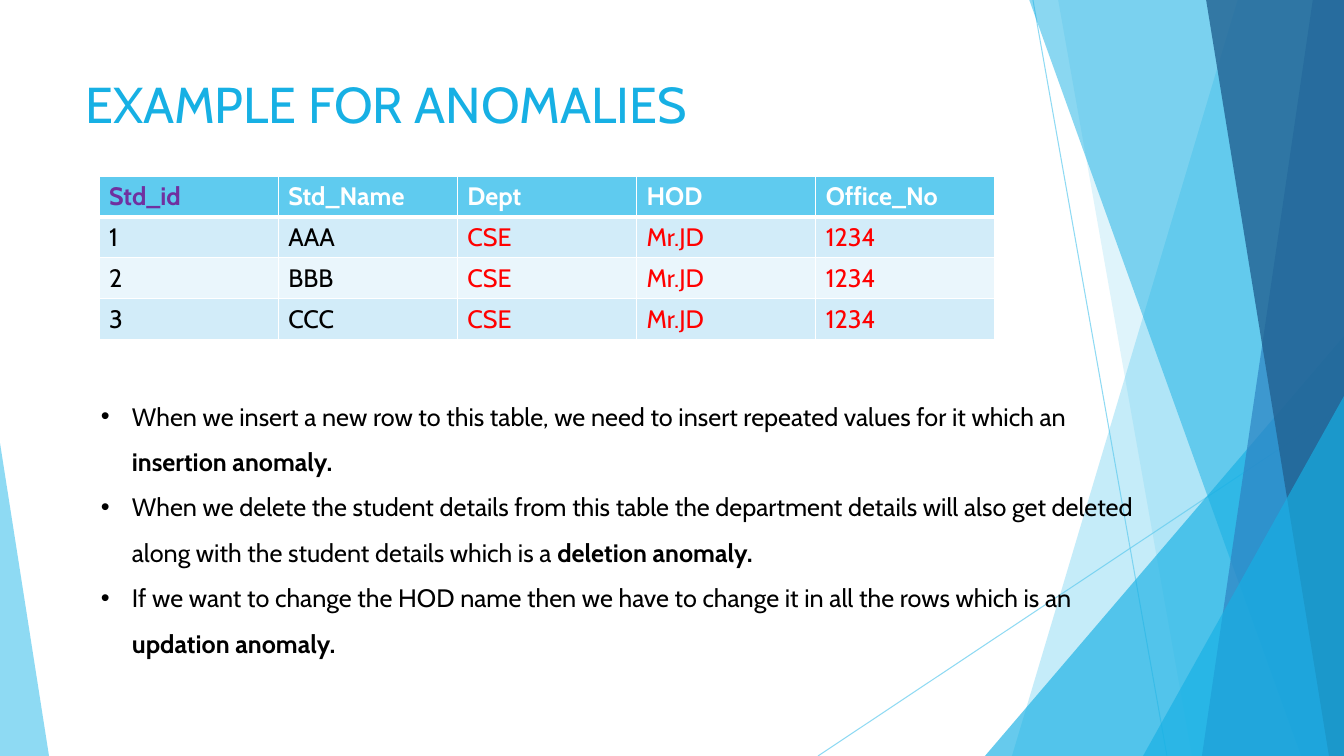
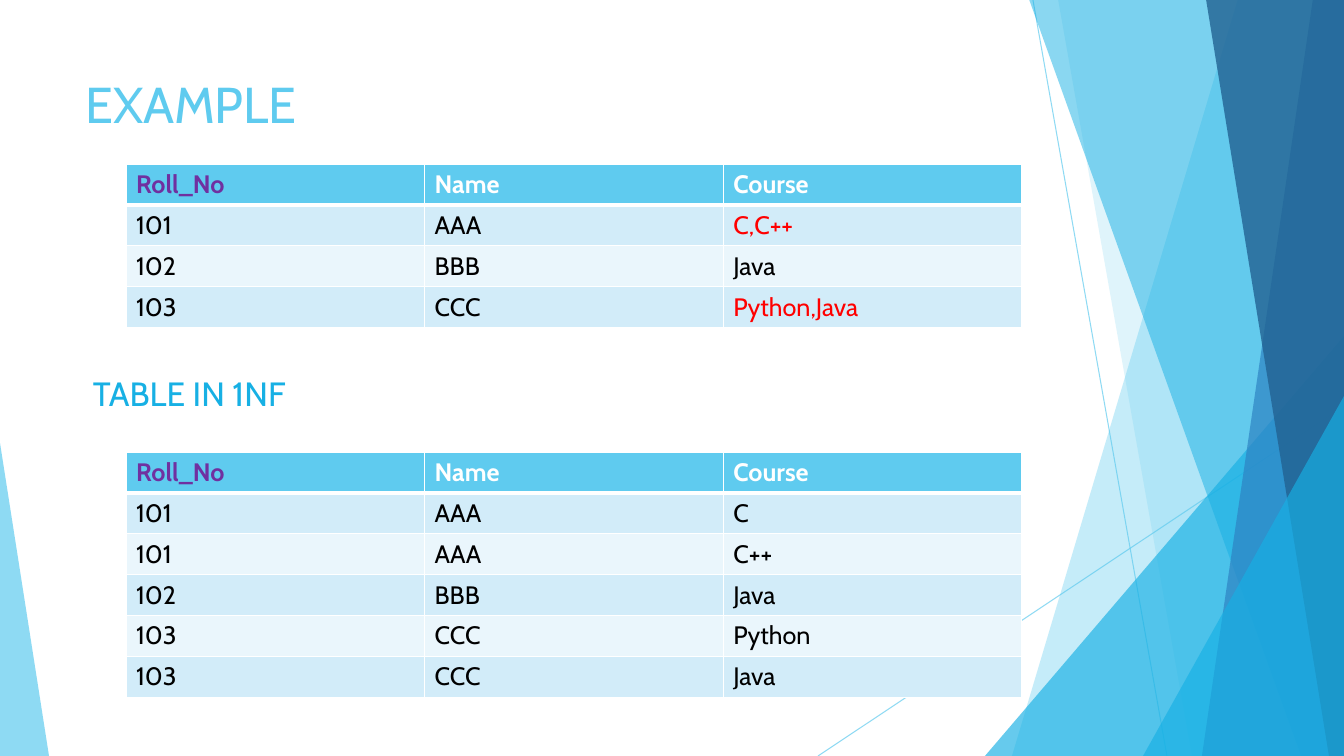
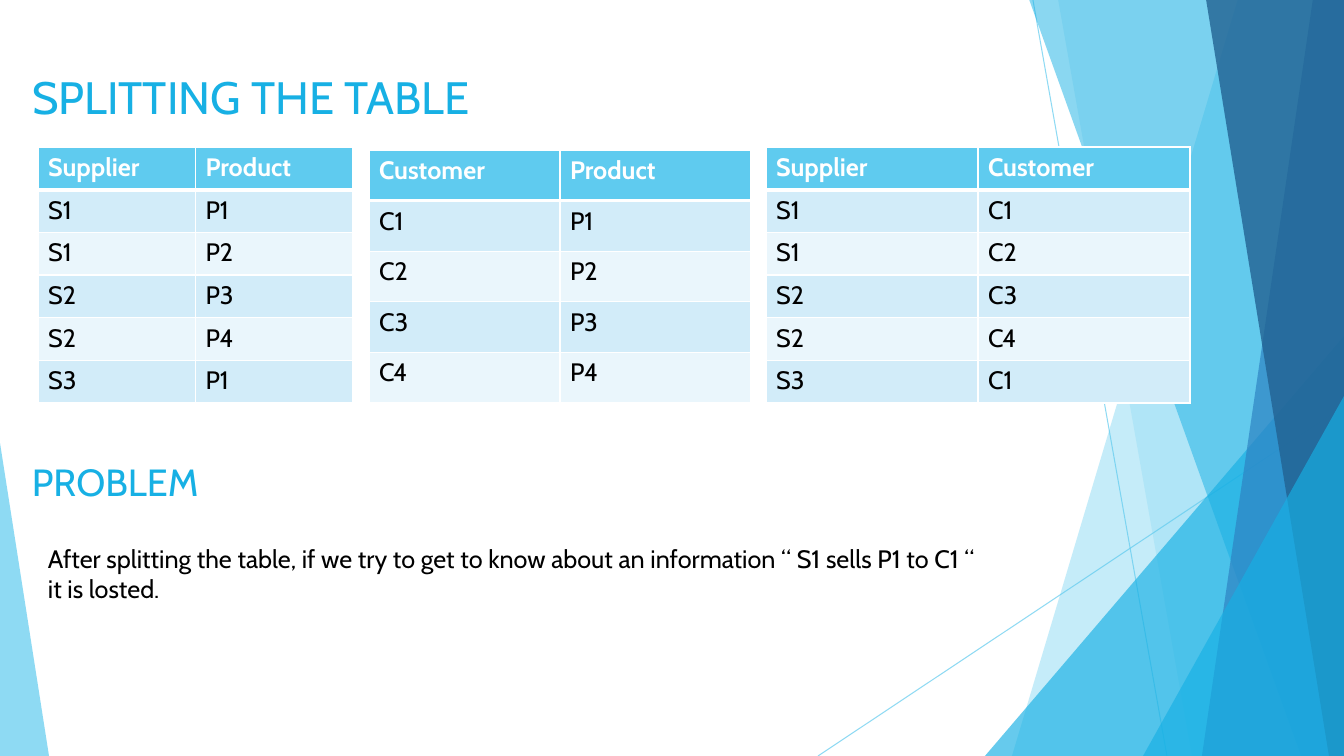
from pptx import Presentation
from pptx.dml.color import RGBColor
from pptx.enum.shapes import MSO_CONNECTOR, MSO_SHAPE
from pptx.enum.text import MSO_ANCHOR, MSO_AUTO_SIZE, PP_ALIGN
from pptx.oxml import parse_xml
from pptx.oxml.ns import nsdecls, qn
from pptx.util import Pt

LINE = MSO_CONNECTOR.STRAIGHT
WEDGE = MSO_SHAPE.ISOSCELES_TRIANGLE
TOP = MSO_ANCHOR.TOP
LEFT = PP_ALIGN.LEFT
GROW = MSO_AUTO_SIZE.SHAPE_TO_FIT_TEXT
FIXED = MSO_AUTO_SIZE.NONE

PX = 914400 / 100.8
WIDE, HIGH = 1344, 756
FONT = "Cabin"
HEX = {
    "sky": "5FCBEF", "cyan": "17B0E4", "blue": "2E83C3", "navy": "226292",
    "odd": "D2ECF9", "even": "EAF6FC", "white": "FFFFFF", "black": "000000",
    "key": "7030A0", "red": "FF0000",
}
# Cell values that stand out from their row
TINT = {
    "Std_id": "key", "Roll_No": "key",
    "CSE": "red", "Mr.JD": "red", "1234": "red",
    "C,C++": "red", "Python,Java": "red",
}


def rgb(name):
    """Return the named colour."""
    return RGBColor.from_string(HEX[name])


def scale(*sizes):
    """Turn pixels into EMU."""
    return [round(size * PX) for size in sizes]


deck = Presentation()
deck.slide_width, deck.slide_height = scale(WIDE, HIGH)
layout = deck.slide_layouts[5]

# Shared backdrop, from back to front.
# line: start and end; band: left edge at top and foot; wedge: box and apex
backdrop = [
    ("line", "sky", 70, (1033, 0, 1167, 756)),
    ("line", "sky", 70, (1344, 406, 818, 756)),
    ("band", "sky", 36, (1238, 1012)),
    ("band", "sky", 20, (1058, 1192)),
    ("wedge", "cyan", 66, (985, 336, 359, 420, 1)),
    ("band", "cyan", 50, (1029, 1301)),
    ("band", "blue", 70, (1313, 1202)),
    ("band", "navy", 80, (1206, 1329)),
    ("wedge", "cyan", 66, (1143, 396, 201, 360, 1)),
    ("wedge", "sky", 70, (0, 443, 49, 313, 0)),
]

slides = [
    {
        "title": ("EXAMPLE FOR ANOMALIES", 36, "cyan", (75, 68, 627, 92)),
        "tables": [
            ((99, 176, 896, 163), [
                ["Std_id", "Std_Name", "Dept", "HOD", "Office_No"],
                ["1", "AAA", "CSE", "Mr.JD", "1234"],
                ["2", "BBB", "CSE", "Mr.JD", "1234"],
                ["3", "CCC", "CSE", "Mr.JD", "1234"],
            ]),
        ],
        "texts": [],
        "points": [
            ("When we insert a new row to this table, we need to insert "
             "repeated values for it which an ", "insertion anomaly."),
            ("When we delete the student details from this table the "
             "department details will also get deleted along with the "
             "student details which is a ", "deletion anomaly."),
            ("If we want to change the HOD name then we have to change it "
             "in all the rows which is an ", "updation anomaly."),
        ],
    },
    {
        "title": ("EXAMPLE", 36, "sky", (75, 68, 948, 145)),
        "tables": [
            ((126, 164, 896, 163), [
                ["Roll_No", "Name", "Course"],
                ["101", "AAA", "C,C++"],
                ["102", "BBB", "Java"],
                ["103", "CCC", "Python,Java"],
            ]),
            ((126, 452, 896, 245), [
                ["Roll_No", "Name", "Course"],
                ["101", "AAA", "C"],
                ["101", "AAA", "C++"],
                ["102", "BBB", "Java"],
                ["103", "CCC", "Python"],
                ["103", "CCC", "Java"],
            ]),
        ],
        "texts": [("TABLE IN 1NF", 24, "cyan", (83, 368, 376, 50))],
        "points": [],
    },
    {
        "title": ("SPLITTING THE TABLE", 32.4, "cyan", (22, 64, 602, 67)),
        "tables": [
            ((38, 147, 315, 256), [
                ["Supplier", "Product"],
                ["S1", "P1"], ["S1", "P2"], ["S2", "P3"], ["S2", "P4"],
                ["S3", "P1"],
            ]),
            ((766, 147, 424, 256), [
                ["Supplier", "Customer"],
                ["S1", "C1"], ["S1", "C2"], ["S2", "C3"], ["S2", "C4"],
                ["S3", "C1"],
            ]),
            ((369, 150, 382, 253), [
                ["Customer", "Product"],
                ["C1", "P1"], ["C2", "P2"], ["C3", "P3"], ["C4", "P4"],
            ]),
        ],
        "texts": [
            ("PROBLEM", 27, "cyan", (22, 454, 285, 50)),
            ("After splitting the table, if we try to get to know about an "
             "information \u201c S1 sells P1 to C1 \u201c it is losted.",
             18, "black", (38, 538, 947, 72)),
        ],
        "points": [],
    },
]

pages = [deck.slides.add_slide(layout) for _ in slides]

# Draw the backdrop once, then hand it to the layout
shapes = pages[0].shapes
decor = []
for kind, hue, alpha, spot in backdrop:
    if kind == "line":
        shape = shapes.add_connector(LINE, *scale(*spot))
        shape.line.color.rgb = rgb(hue)
        shape.line.width = Pt(0.75)
        props = shape.element.spPr
        props.append(parse_xml(f"<a:effectLst {nsdecls('a')}/>"))
    else:
        if kind == "band":
            head, foot = spot
            path = shapes.build_freeform(head, -1, scale=PX)
            path.add_line_segments([(WIDE, -1), (WIDE, HIGH), (foot, HIGH)])
            shape = path.convert_to_shape()
        else:
            *box, apex = spot
            shape = shapes.add_shape(WEDGE, *scale(*box))
            shape.adjustments[0] = apex
        shape.fill.solid()
        shape.fill.fore_color.rgb = rgb(hue)
        shape.line.fill.background()
        shape.shadow.inherit = False
    for tone in shape.element.iter(qn("a:srgbClr")):
        tone.append(parse_xml(
            f'<a:alpha {nsdecls("a")} val="{alpha * 1000}"/>'))
    decor.append(shape)
for shape in reversed(decor):
    layout.shapes.element.insert(2, shape.element)

for page, data in zip(pages, slides):
    # Title and plain texts
    for num, (words, size, hue, box) in enumerate(
            [data["title"]] + data["texts"]):
        place = scale(*box)
        if num == 0:
            shape = page.shapes.title
            shape.left, shape.top, shape.width, shape.height = place
        else:
            shape = page.shapes.add_textbox(*place)
        frame = shape.text_frame
        frame.word_wrap = True
        frame.auto_size = FIXED
        frame.vertical_anchor = TOP
        frame.text = words
        para = frame.paragraphs[0]
        para.alignment = LEFT
        para.font.name = FONT
        para.font.size = Pt(size)
        para.font.color.rgb = rgb(hue)

    # Tables with equal rows and columns
    for box, rows in data["tables"]:
        left, top, width, height = scale(*box)
        count, span = len(rows), len(rows[0])
        grid = page.shapes.add_table(
            count, span, left, top, width, height).table
        for col in grid.columns:
            col.width = width // span
        for row in grid.rows:
            row.height = height // count
        for i, row in enumerate(rows):
            back = "sky" if i == 0 else "odd" if i % 2 else "even"
            ink = "white" if i == 0 else "black"
            for j, value in enumerate(row):
                cell = grid.cell(i, j)
                props = cell._tc.get_or_add_tcPr()
                for side in "LRTB":
                    thick = (i, side) in ((0, "B"), (1, "T"))
                    props.append(parse_xml(
                        f'<a:ln{side} {nsdecls("a")} '
                        f'w="{Pt(3 if thick else 1)}"><a:solidFill>'
                        f'<a:srgbClr val="{HEX["white"]}"/>'
                        f'</a:solidFill></a:ln{side}>'))
                cell.fill.solid()
                cell.fill.fore_color.rgb = rgb(back)
                cell.text = value
                font = cell.text_frame.paragraphs[0].font
                font.name = FONT
                font.size = Pt(18)
                font.bold = i == 0
                font.color.rgb = rgb(TINT.get(value, ink))

    # Bullets that end in a bold term
    if data["points"]:
        frame = page.shapes.add_textbox(*scale(91, 381, 1074, 285)).text_frame
        frame.word_wrap = True
        frame.auto_size = GROW
        for num, (plain, term) in enumerate(data["points"]):
            para = frame.add_paragraph() if num else frame.paragraphs[0]
            para.line_spacing = 1.5
            para.font.name = FONT
            para.font.size = Pt(18)
            para.font.color.rgb = rgb("black")
            para.add_run().text = plain
            bold = para.add_run()
            bold.text = term
            bold.font.bold = True
            props = para._p.get_or_add_pPr()
            dent, = scale(31)
            props.set("marL", str(dent))
            props.set("indent", str(-dent))
            mark = parse_xml(f'<a:buChar {nsdecls("a")} char="\u2022"/>')
            face = parse_xml(f'<a:buFont {nsdecls("a")} typeface="Arial"/>')
            props.find(qn("a:defRPr")).addprevious(face)
            face.addnext(mark)

deck.save("out.pptx")
